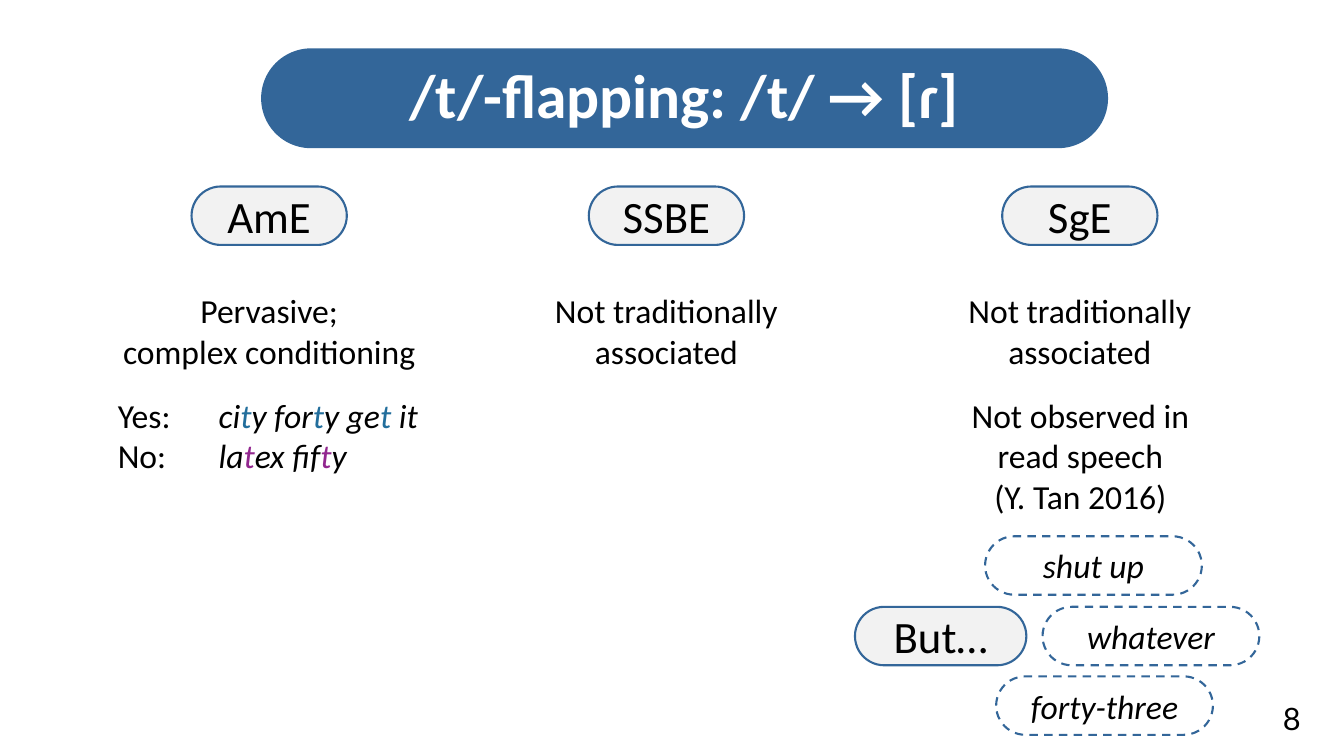
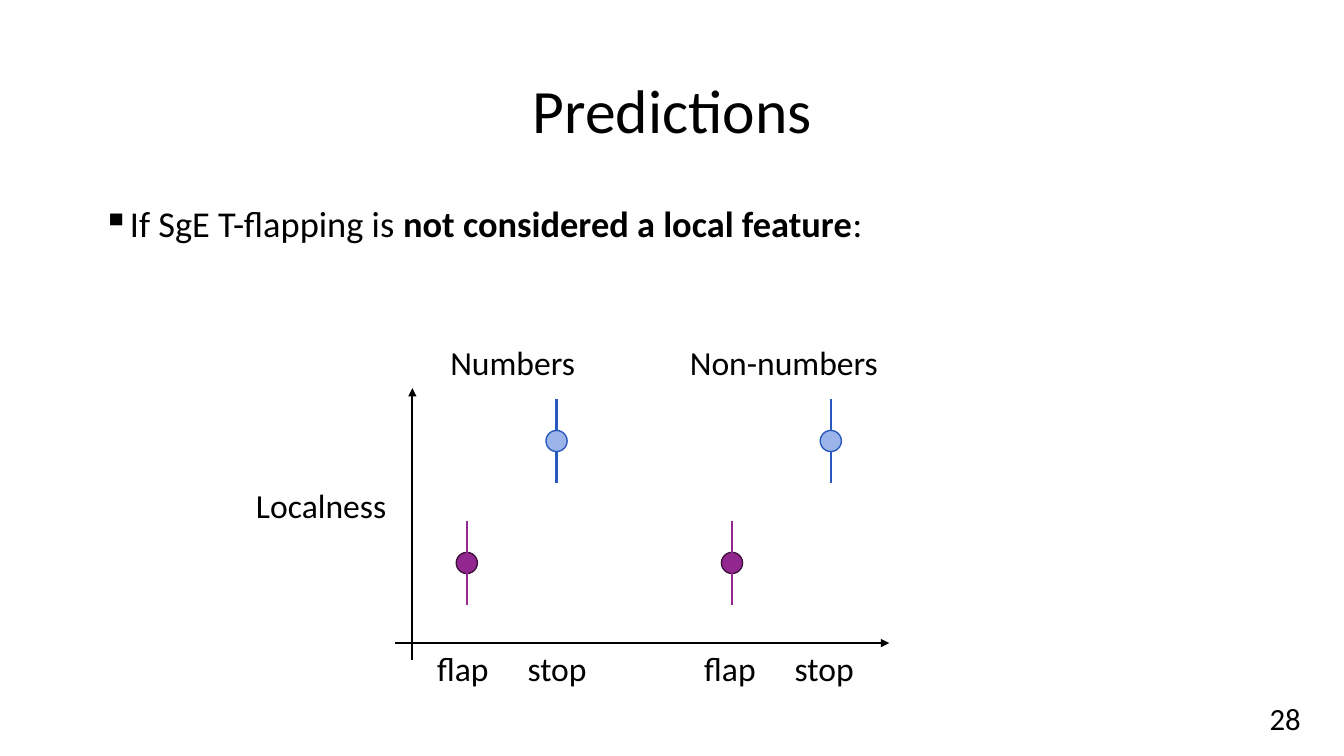
"""Build two slides on /t/-flapping: variety overview and predictions."""
import pptx
import pptx.dml.color
import pptx.enum.dml
import pptx.enum.shapes
import pptx.enum.text
import pptx.oxml.ns
import pptx.util
from lxml import etree

Inches = pptx.util.Inches
Pt = pptx.util.Pt
RGBColor = pptx.dml.color.RGBColor
SHAPE = pptx.enum.shapes.MSO_SHAPE
ALIGN = pptx.enum.text.PP_ALIGN
ANCHOR = pptx.enum.text.MSO_ANCHOR
qn = pptx.oxml.ns.qn

FONT = "Calibri"
BLACK = RGBColor(0x00, 0x00, 0x00)
WHITE = RGBColor(0xFF, 0xFF, 0xFF)
BLUE = RGBColor(0x33, 0x66, 0x99)
PALE = RGBColor(0xF2, 0xF2, 0xF2)
TEAL = RGBColor(0x22, 0x6E, 0x9C)
PURPLE = RGBColor(0x92, 0x27, 0x8F)
DARK_PURPLE = RGBColor(0x40, 0x11, 0x3F)
STOP_LINE = RGBColor(0x29, 0x58, 0xBE)
STOP_FILL = RGBColor(0x9B, 0xB4, 0xE9)


def write(shape, paragraphs, size=24, align=ALIGN.CENTER, anchor=ANCHOR.TOP,
          wrap=False, font=FONT, color=BLACK, bold=False, italic=False):
    """Fill a shape with paragraphs of runs: plain strings or (text, overrides)."""
    tf = shape.text_frame
    tf.auto_size = pptx.enum.text.MSO_AUTO_SIZE.NONE
    tf.word_wrap = wrap
    tf.vertical_anchor = anchor
    for i, runs in enumerate(paragraphs):
        p = tf.paragraphs[0] if i == 0 else tf.add_paragraph()
        p.alignment = align
        for run in [runs] if isinstance(runs, str) else runs:
            text, style = (run, {}) if isinstance(run, str) else run
            r = p.add_run()
            r.text = text
            r.font.name = font
            r.font.size = Pt(size)
            r.font.bold = style.get("bold", bold)
            r.font.italic = style.get("italic", italic)
            r.font.color.rgb = style.get("color", color)
    return tf


def add_line(s, x1, y1, x2, y2, color, arrow=False):
    """Draw a straight line, with an arrowhead at its end if asked."""
    line = s.shapes.add_connector(pptx.enum.shapes.MSO_CONNECTOR.STRAIGHT,
                                  Inches(x1), Inches(y1), Inches(x2), Inches(y2))
    line.line.color.rgb = color
    line.line.width = Pt(1.5)
    spPr = line.element.spPr
    if arrow:
        etree.SubElement(spPr.find(qn("a:ln")), qn("a:tailEnd"), type="triangle")
    etree.SubElement(spPr, qn("a:effectLst"))
    return line


prs = pptx.Presentation()
prs.slide_width = Inches(13.33)
prs.slide_height = Inches(7.5)

TITLES = [
    ("/t/-flapping: /t/ → [ɾ]", (2.59, 0.48, 8.4, 0.99), WHITE, True, 8, "Lato"),
    ("Predictions", (0.92, 0.4, 11.5, 1.45), BLACK, False, 28, FONT),
]
slides = []
for text, box, color, bold, number, number_font in TITLES:
    s = prs.slides.add_slide(prs.slide_layouts[5])
    title = s.shapes.title
    title.left, title.top, title.width, title.height = map(Inches, box)
    tf = write(title, [text], 44, anchor=ANCHOR.MIDDLE, color=color, bold=bold)
    tf.paragraphs[0].line_spacing = 0.9
    tb = s.shapes.add_textbox(Inches(10), Inches(6.89), Inches(3), Inches(0.4))
    write(tb, [str(number)], 22, ALIGN.RIGHT, wrap=True, font=number_font)
    slides.append(s)
flapping, predictions = slides

s = flapping
title = s.shapes.title
band = s.shapes.add_shape(SHAPE.ROUNDED_RECTANGLE, title.left, title.top,
                          title.width, title.height)
band.adjustments[0] = 0.5
band.shadow.inherit = False
band.fill.solid()
band.fill.fore_color.rgb = BLUE
band.line.fill.background()
title.element.addprevious(band.element)

VARIETIES = [
    ("AmE", 2.67, ["Pervasive;", "complex conditioning"]),
    ("SSBE", 6.61, ["Not traditionally", "associated"]),
    ("SgE", 10.71, ["Not traditionally", "associated"]),
]
pills = [(name, center - 0.77, 1.85, 1.54, False) for name, center, _ in VARIETIES]
pills += [
    ("But…", 8.48, 6.02, 1.7, False),
    ("shut up", 9.77, 5.32, 2.15, True),
    ("whatever", 10.34, 6.02, 2.15, True),
    ("forty-three", 9.88, 6.71, 2.15, True),
]
for text, x, y, w, example in pills:
    sp = s.shapes.add_shape(SHAPE.ROUNDED_RECTANGLE, Inches(x), Inches(y),
                            Inches(w), Inches(0.58))
    sp.adjustments[0] = 0.5
    sp.shadow.inherit = False
    sp.line.color.rgb = BLUE
    sp.line.width = Pt(1.5)
    if example:
        sp.fill.background()
        sp.line.dash_style = pptx.enum.dml.MSO_LINE.DASH
    else:
        sp.fill.solid()
        sp.fill.fore_color.rgb = PALE
    write(sp, [text], 24 if example else 32, anchor=ANCHOR.MIDDLE, italic=example)

for _, center, caption in VARIETIES:
    tb = s.shapes.add_textbox(Inches(center - 1.5), Inches(2.83), Inches(3), Inches(0.91))
    write(tb, caption)

tb = s.shapes.add_textbox(Inches(9.32), Inches(3.87), Inches(2.79), Inches(1.31))
write(tb, ["Not observed in", "read speech", "(Y. Tan 2016)"])

plain = {"italic": False}
flap_t = ("t", {"color": TEAL})
stop_t = ("t", {"color": PURPLE})
tb = s.shapes.add_textbox(Inches(0.57), Inches(3.87), Inches(4.2), Inches(0.91))
tf = write(tb, [
    [("Yes: \t", plain), "ci", flap_t, "y for", flap_t, "y ge", flap_t, " it"],
    [("No: \t", plain), "la", stop_t, "ex fif", stop_t, "y"],
], align=ALIGN.LEFT, wrap=True, italic=True)
for p in tf.paragraphs:
    pPr = p._p.get_or_add_pPr()
    pPr.set("marL", str(Inches(0.5)))
    pPr.set("indent", "0")
    tabs = etree.SubElement(pPr, qn("a:tabLst"))
    etree.SubElement(tabs, qn("a:tab"), pos=str(Inches(1.38)), algn="l")

s = predictions
tb = s.shapes.add_textbox(Inches(0.92), Inches(2), Inches(11.5), Inches(0.6))
tf = write(tb, [["If SgE T-flapping is ",
                 ("not considered a local feature", {"bold": True}), ":"]],
           26, ALIGN.LEFT, wrap=True)
p = tf.paragraphs[0]
p.line_spacing = 0.9
p.space_before = Pt(10)
pPr = p._p.get_or_add_pPr()
pPr.set("marL", str(Inches(0.25)))
pPr.set("indent", str(-Inches(0.25)))
etree.SubElement(pPr, qn("a:buChar"), char="▪")

add_line(s, 4.09, 6.55, 4.09, 3.85, BLACK, arrow=True)
add_line(s, 3.92, 6.38, 8.82, 6.38, BLACK, arrow=True)

ESTIMATES = [
    (4.63, 5.585, PURPLE, PURPLE, DARK_PURPLE),
    (7.26, 5.585, PURPLE, PURPLE, DARK_PURPLE),
    (5.52, 4.375, STOP_LINE, STOP_FILL, STOP_LINE),
    (8.24, 4.375, STOP_LINE, STOP_FILL, STOP_LINE),
]
DOT = 0.21
for x, y, whisker_color, fill, outline in ESTIMATES:
    whisker = add_line(s, x, y - 0.415, x, y + 0.415, whisker_color)
    dot = s.shapes.add_shape(SHAPE.OVAL, Inches(x - DOT / 2), Inches(y - DOT / 2),
                             Inches(DOT), Inches(DOT))
    dot.shadow.inherit = False
    dot.fill.solid()
    dot.fill.fore_color.rgb = fill
    dot.line.color.rgb = outline
    dot.line.width = Pt(1)
    if fill == PURPLE:
        dot.element.addnext(whisker.element)

LABELS = [
    ("Numbers", 4.36, 3.34, 1.45),
    ("Non-numbers", 6.73, 3.34, 2.09),
    ("Localness", 2.43, 4.76, 1.51),
]
for x in (4.23, 6.88):
    LABELS += [("flap", x, 6.38, 0.72), ("stop", x + 0.9, 6.38, 0.79)]
for text, x, y, w in LABELS:
    tb = s.shapes.add_textbox(Inches(x), Inches(y), Inches(w), Inches(0.5))
    write(tb, [text])

prs.save("out.pptx")
